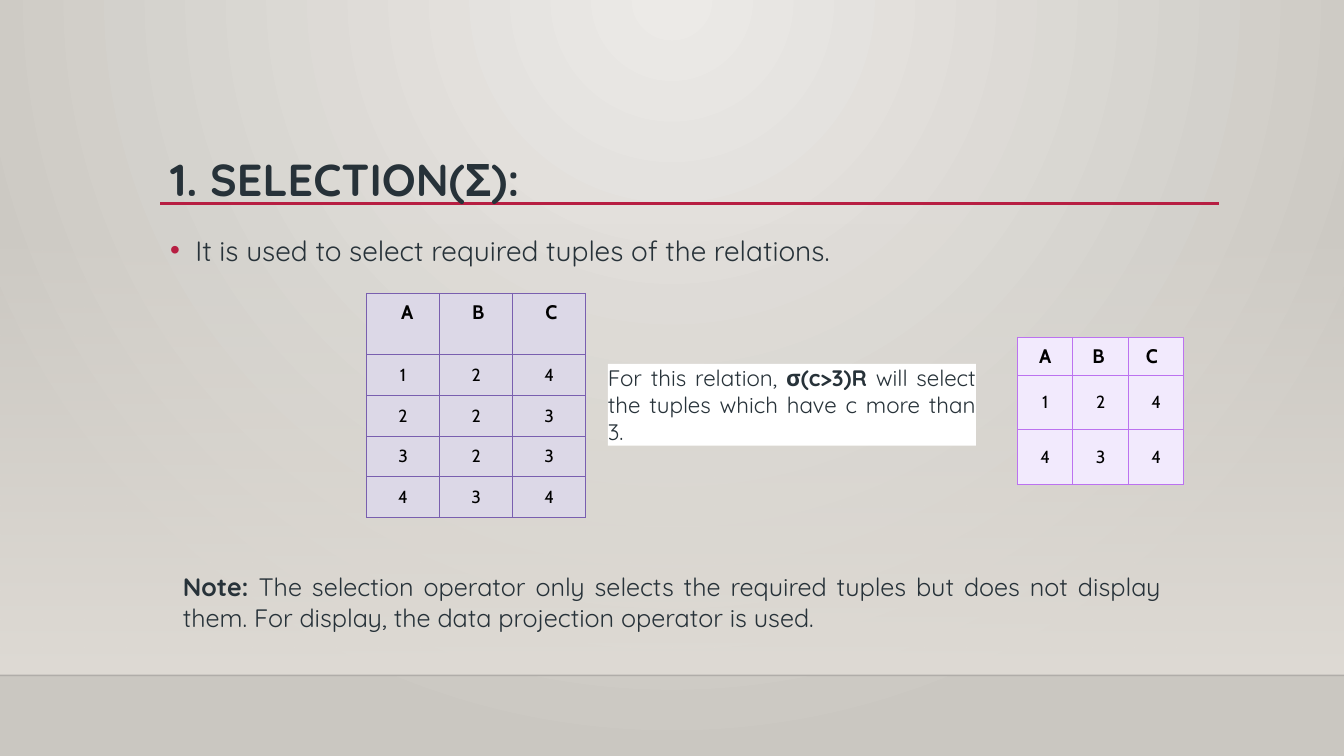
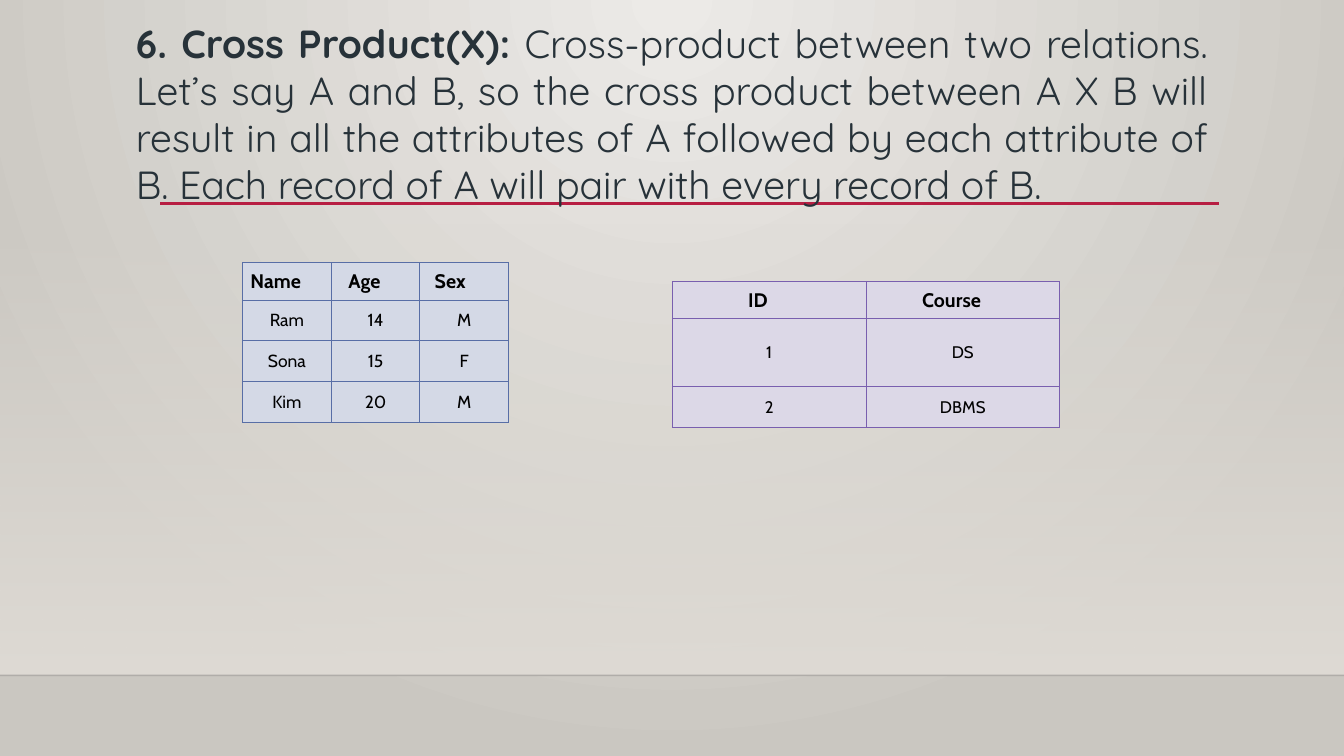
"""Builds two slides on relational algebra: selection and cross product."""
from lxml import etree
from pptx import Presentation
from pptx import util as u
from pptx.dml.color import RGBColor
from pptx.enum import shapes, text
from pptx.oxml.ns import qn

Pt = u.Pt
INK, RED, SAND = "273239", "B71E42", "DFDBD5"
MID, JUST = text.PP_ALIGN.CENTER, text.PP_ALIGN.JUSTIFY
TOP, HALF = text.MSO_ANCHOR.TOP, text.MSO_ANCHOR.MIDDLE


def hue(code):
    return RGBColor.from_string(code)


def write(frame, runs, size, name="Quicksand", ink=INK, **form):
    frame.word_wrap = True
    para = frame.paragraphs[0]
    for key, val in form.items():
        setattr(para, key, val)
    for words, bold in runs:
        run = para.add_run()
        run.text = words
        for key, val in {"size": Pt(size), "name": name, "bold": bold}.items():
            setattr(run.font, key, val)
        run.font.color.rgb = hue(ink)
    return para


deck = Presentation()
deck.slide_width, deck.slide_height = Pt(960), Pt(540)

back = deck.slide_master.background.fill
back.gradient()
for stop, code in zip(back.gradient_stops, ("ECEAE7", "CAC7C1")):
    stop.color.rgb = hue(code)
grad = deck.slide_master.element.find(".//" + qn("a:gradFill"))
grad.remove(grad.find(qn("a:lin")))
round_ = etree.SubElement(grad, qn("a:path"), {"path": "circle"})
etree.SubElement(round_, qn("a:fillToRect"), l="43000", t="0", r="43000", b="100000")

pages = [
    {
        "texts": [
            {"at": (114.5, 109.4, 756, 83), "size": 32, "form": {"line_spacing": 0.9},
             "runs": [("1. SELECTION(Σ):", True)]},
            {"at": (114.5, 158.4, 756, 271), "size": 20, "form": {"line_spacing": 1.2},
             "bullet": True,
             "runs": [("It is used to select required tuples of the relations.", False)]},
            {"at": (434.2, 260, 262.8, 58.3), "size": 16, "form": {"alignment": JUST},
             "fill": "FFFFFF",
             "runs": [("For this relation, ", False), ("σ(c>3)R", True),
                      (" will select the tuples which have c more than 3.", False)]},
            {"at": (123.6, 404.8, 712.8, 51), "size": 18, "form": {"alignment": JUST},
             "runs": [("Note:", True),
                      (" The selection operator only selects the required tuples but does "
                       "not display them. For display, the data projection operator is "
                       "used.", False)]},
        ],
        "grids": [
            {"at": (261.8, 209.5), "wide": 52.2, "highs": (44, 29, 29, 29, 29), "size": 12.5,
             "line": "795FAF", "fill": "DCD8E7", "shifts": (3, 1.5, 1.5),
             "rows": ["A B C", "1 2 4", "2 2 3", "3 2 3", "4 3 4"]},
            {"at": (726.8, 241), "wide": 39.6, "highs": (27, 39, 39), "size": 12.5,
             "line": "BC72F0", "fill": "F2EAFD", "shifts": (0, -1.5, -3),
             "rows": ["A B C", "1 2 4", "4 3 4"]},
        ],
    },
    {
        "texts": [
            {"at": (90, 10.2, 779.8, 143.3), "size": 28, "form": {"alignment": JUST},
             "runs": [("6. Cross Product(X):", True),
                      (" Cross-product between two relations. Let’s say A and B, so the "
                       "cross product between A X B will result in all the attributes of A "
                       "followed by each attribute of B. Each record of A will pair with "
                       "every record of B.", False)]},
        ],
        "grids": [
            {"at": (173.2, 187.5), "wide": 63.4, "highs": (27, 29, 29, 29), "size": 12.5,
             "line": "586EA6", "fill": "D4D9E6", "shifts": (-8, -8, -10),
             "rows": ["Name Age Sex", "Ram 14 M", "Sona 15 F", "Kim 20 M"]},
            {"at": (480.3, 201), "wide": 138.3, "highs": (26.6, 48.4, 29), "size": 12,
             "line": "795FAF", "fill": "DCD8E7", "shifts": (-8, -8),
             "rows": ["ID Course", "1 DS", "2 DBMS"]},
        ],
    },
]

for page in pages:
    slide = deck.slides.add_slide(deck.slide_layouts[6])

    band = slide.shapes.add_shape(shapes.MSO_SHAPE.RECTANGLE, 0, Pt(159), Pt(960), Pt(323.4))
    band.shadow.inherit = False
    band.line.fill.background()
    band.fill.gradient()
    band.fill.gradient_angle = 270
    for stop in band.fill.gradient_stops:
        stop.color.rgb = hue(SAND)
    clear = band.element.find(".//" + qn("a:srgbClr"))
    etree.SubElement(clear, qn("a:alpha"), val="0")

    for left, right, high, code, wide, alpha in ((0, 960, 482.4, "000001", 1, 20),
                                                 (114.3, 871, 145.4, RED, 2.5, 100)):
        rule = slide.shapes.add_connector(shapes.MSO_CONNECTOR.STRAIGHT,
                                          Pt(left), Pt(high), Pt(right), Pt(high))
        rule.line.width = Pt(wide)
        rule.line.color.rgb = hue(code)
        tint = rule.element.find(".//" + qn("a:srgbClr"))
        etree.SubElement(tint, qn("a:alpha"), val=str(alpha * 1000))
        etree.SubElement(rule.element.spPr, qn("a:effectLst"))

    for item in page["texts"]:
        box = slide.shapes.add_textbox(*map(Pt, item["at"]))
        frame = box.text_frame
        if "fill" in item:
            box.fill.solid()
            box.fill.fore_color.rgb = hue(item["fill"])
            frame.vertical_anchor = HALF
            for side in ("left", "right", "top", "bottom"):
                setattr(frame, "margin_" + side, 0)
        para = write(frame, item["runs"], item["size"], **item["form"])
        if "bullet" in item:
            props = para._p.get_or_add_pPr()
            props.set("marL", str(Pt(18)))
            props.set("indent", str(-Pt(18)))
            shade = etree.SubElement(props, qn("a:buClr"))
            etree.SubElement(shade, qn("a:srgbClr"), val=RED)
            etree.SubElement(props, qn("a:buFont"), typeface="Arial")
            etree.SubElement(props, qn("a:buChar"), char="•")

    for grid in page["grids"]:
        rows, highs, shifts = grid["rows"], grid["highs"], grid["shifts"]
        size = len(shifts) * grid["wide"], sum(highs)
        table = slide.shapes.add_table(len(rows), len(shifts),
                                       *map(Pt, grid["at"] + size)).table
        table.horz_banding = False
        for col in table.columns:
            col.width = Pt(grid["wide"])
        for r, row in enumerate(rows):
            table.rows[r].height = Pt(highs[r])
            head = r == 0
            for c, word in enumerate(row.split()):
                cell = table.cell(r, c)
                shift = 2 * shifts[c] if head else 0
                pad = 5 if head else 7
                form = {"margin_left": Pt(3 + max(shift, 0)),
                        "margin_right": Pt(3 + max(-shift, 0)),
                        "margin_top": Pt(pad), "margin_bottom": Pt(pad),
                        "vertical_anchor": TOP if head else HALF}
                for key, val in form.items():
                    setattr(cell, key, val)
                write(cell.text_frame, [(word, head)], 14 if head else grid["size"],
                      "Cabin", "000000", alignment=MID)
                props = cell._tc.get_or_add_tcPr()
                for side in "LRTB":
                    edge = etree.SubElement(props, qn("a:ln" + side), w=str(Pt(0.75)))
                    paint = etree.SubElement(edge, qn("a:solidFill"))
                    etree.SubElement(paint, qn("a:srgbClr"), val=grid["line"])
                cell.fill.solid()
                cell.fill.fore_color.rgb = hue(grid["fill"])

deck.save("out.pptx")
